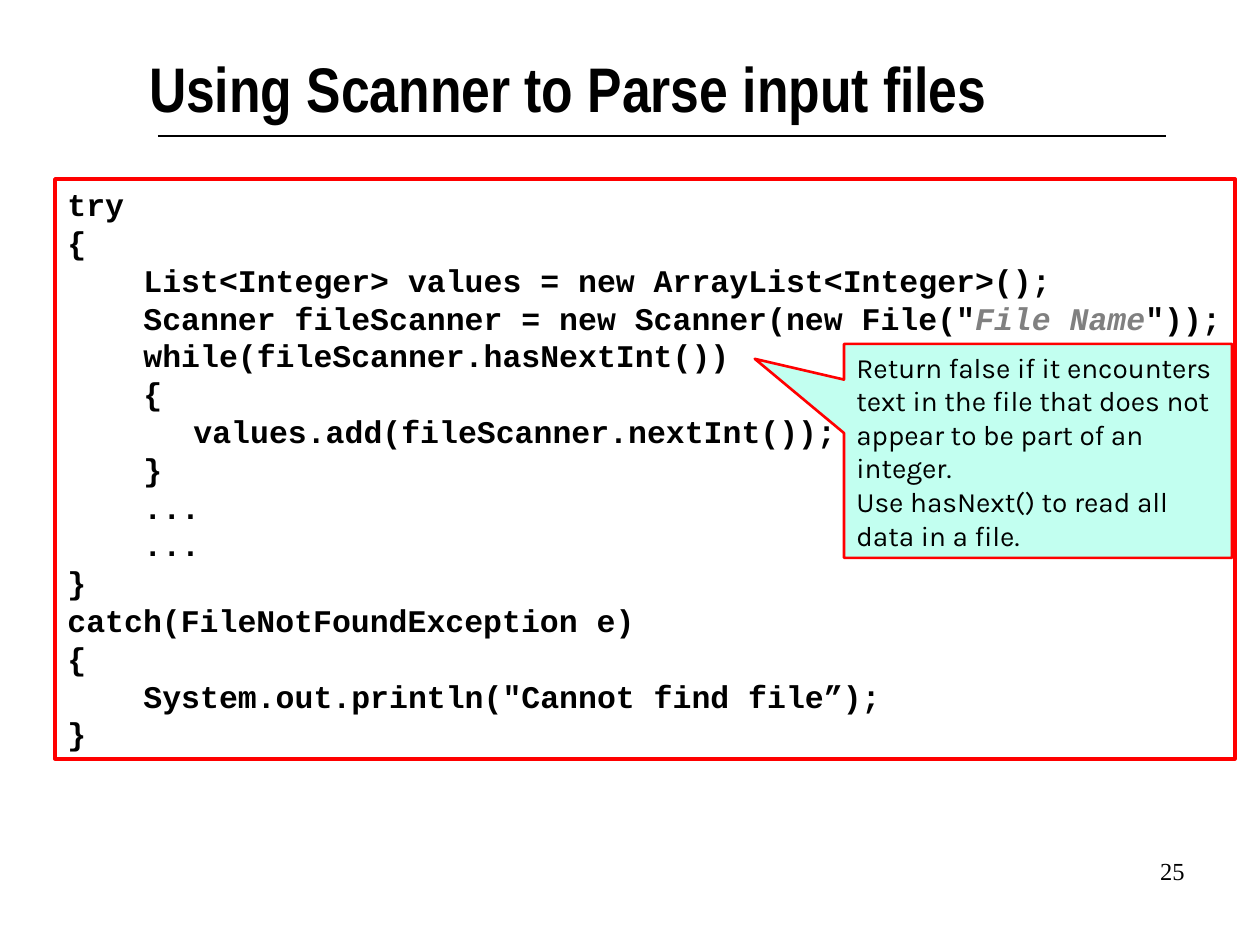
from pptx import Presentation
from pptx.dml.color import RGBColor
from pptx.enum.shapes import MSO_CONNECTOR, MSO_SHAPE
from pptx.enum.text import MSO_ANCHOR, PP_ALIGN
from pptx.oxml.ns import qn
from pptx.util import Pt
from lxml.etree import SubElement

PX = 914400 // 126
COLORS = {"black": "000000", "white": "FFFFFF", "red": "FF0000", "gray": "808080", "mint": "C2FFF0"}
TITLE = "Using Scanner to Parse input files"
PAGE = "25"
INDENTS = [0, 76, 126]
CODE = [
    (0, "try"),
    (0, "{"),
    (1, "List<Integer> values = new ArrayList<Integer>();"),
    (1, 'Scanner fileScanner = new Scanner(new File("', "File Name", '"));'),
    (1, "while(fileScanner.hasNextInt())"),
    (1, "{"),
    (2, "values.add(fileScanner.nextInt());"),
    (1, "}"),
    (1, "..."),
    (1, "..."),
    (0, "}"),
    (0, "catch(FileNotFoundException e)"),
    (0, "{"),
    (1, 'System.out.println("Cannot find file”);'),
    (0, "}"),
]
NOTE = [
    "Return false if it encounters text in the file that does not",
    "appear to be part of an integer.",
    "Use hasNext() to read all data in a file.",
]


def px(*values):
    return [v * PX for v in values]


def rgb(name):
    return RGBColor.from_string(COLORS[name])


def add_run(p, text, font, size, bold=False, italic=False, color="black"):
    r = p.add_run()
    r.text = text
    r.font.name, r.font.size = font, Pt(size)
    r.font.bold, r.font.italic = bold, italic
    r.font.color.rgb = rgb(color)


def paragraphs(tf, items):
    for i, item in enumerate(items):
        p = tf.paragraphs[0] if i == 0 else tf.add_paragraph()
        p.alignment = PP_ALIGN.LEFT
        yield p, item


def add_box(s, kind, box, fill, width, anchor):
    sp = s.shapes.add_shape(kind, *px(*box))
    sp.shadow.inherit = False
    sp.fill.solid()
    sp.fill.fore_color.rgb = rgb(fill)
    sp.line.color.rgb = rgb("red")
    sp.line.width = Pt(width)
    sp.text_frame.word_wrap = True
    sp.text_frame.vertical_anchor = anchor
    return sp


def add_title(s):
    sp = s.shapes.title
    sp.left, sp.top, sp.width, sp.height = px(149, 49, 964, 95)
    tf = sp.text_frame
    tf.margin_left = tf.margin_right = tf.margin_top = tf.margin_bottom = 0
    tf.vertical_anchor = MSO_ANCHOR.TOP
    p = tf.paragraphs[0]
    p.alignment = PP_ALIGN.LEFT
    add_run(p, TITLE, "Arial Narrow", 36, bold=True)
    line = s.shapes.add_connector(MSO_CONNECTOR.STRAIGHT, *px(158, 136, 1166, 136))
    line.line.color.rgb = rgb("black")
    line.line.width = Pt(0.75)
    SubElement(line._element.spPr, qn("a:effectLst"))


def add_code(s):
    sp = add_box(s, MSO_SHAPE.RECTANGLE, (55, 179, 1180, 580), "white", 2, MSO_ANCHOR.TOP)
    for p, (level, *parts) in paragraphs(sp.text_frame, CODE):
        p._p.get_or_add_pPr().set("marL", str(INDENTS[level] * PX))
        for i, part in enumerate(parts):
            argument = i == 1
            add_run(p, part, "Courier New", 18, True, argument, "gray" if argument else "black")


def add_note(s):
    sp = add_box(s, MSO_SHAPE.RECTANGULAR_CALLOUT, (844, 344, 388, 214), "mint", 1.5, MSO_ANCHOR.MIDDLE)
    sp.adjustments[0], sp.adjustments[1] = -0.73, -0.43
    for p, text in paragraphs(sp.text_frame, NOTE):
        add_run(p, text, "Karla", 16)


def add_page_number(s):
    sp = s.shapes.add_textbox(*px(935, 850, 262, 63))
    sp.text_frame.word_wrap = True
    p = sp.text_frame.paragraphs[0]
    p.alignment = PP_ALIGN.RIGHT
    add_run(p, PAGE, "Times New Roman", 14)


def main():
    prs = Presentation()
    prs.slide_width, prs.slide_height = px(1260, 945)
    s = prs.slides.add_slide(prs.slide_layouts[5])
    add_title(s)
    add_page_number(s)
    add_code(s)
    add_note(s)
    prs.save("out.pptx")


if __name__ == "__main__":
    main()
